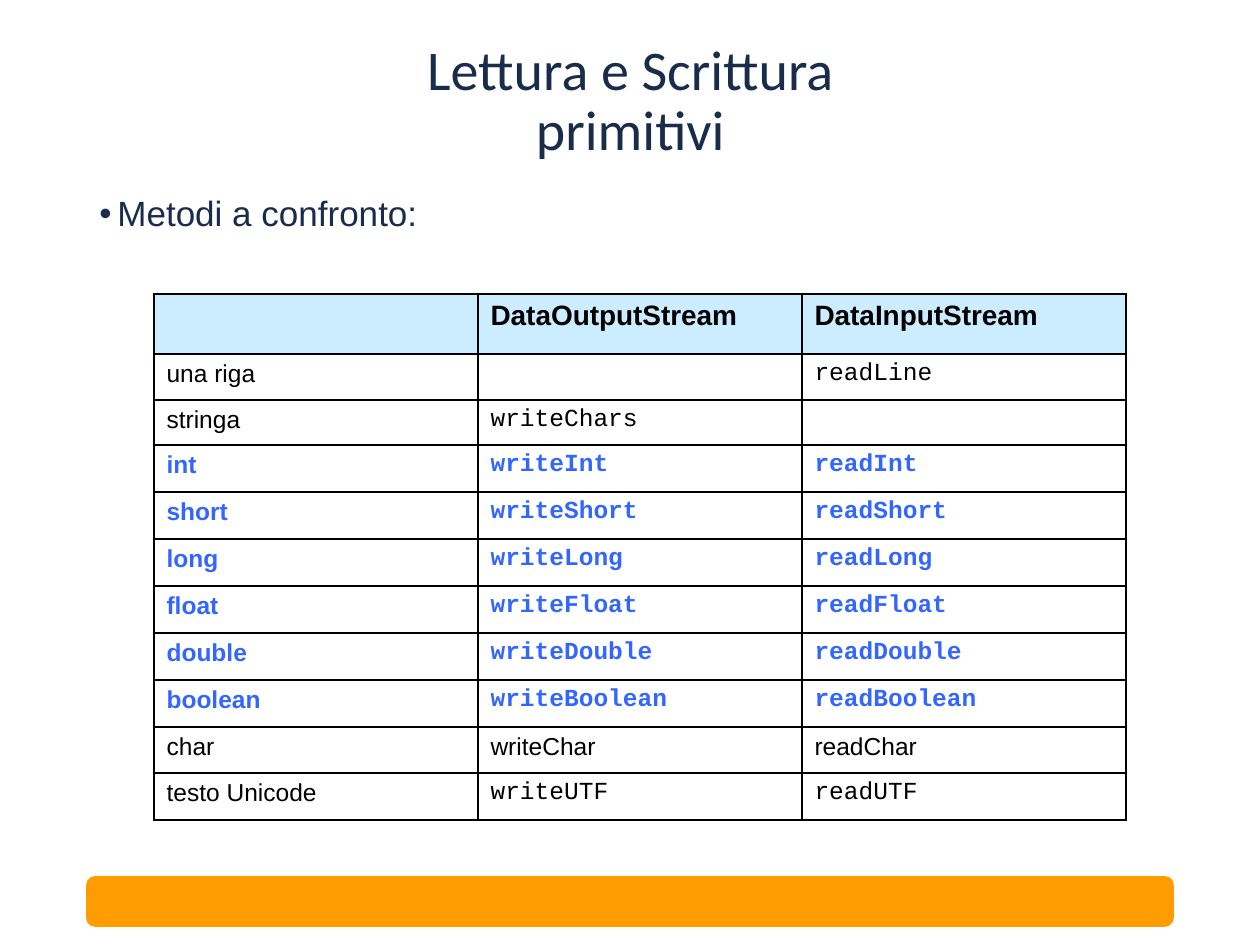
from dataclasses import dataclass

from lxml import etree
from pptx import Presentation
from pptx.dml.color import RGBColor
from pptx.enum.shapes import MSO_SHAPE
from pptx.enum.text import MSO_ANCHOR, PP_ALIGN
from pptx.oxml.ns import qn
from pptx.util import Emu, Pt

ROUNDED = MSO_SHAPE.ROUNDED_RECTANGLE
MIDDLE, TOP = MSO_ANCHOR.MIDDLE, MSO_ANCHOR.TOP
CENTER, LEFT = PP_ALIGN.CENTER, PP_ALIGN.LEFT
EMU_PER_PX = 914400 / 126


@dataclass(frozen=True)
class Theme:
    navy: str = "1A2C4B"
    black: str = "000000"
    blue: str = "3366FF"
    header: str = "CCECFF"
    orange: str = "FF9C00"
    heading_font: str = "Calibri"
    body_font: str = "Arial"
    code_font: str = "Courier New"
    title_size: int = 32
    body_size: int = 20
    header_size: int = 16
    cell_size: int = 14
    line_width: int = 1


@dataclass(frozen=True)
class Box:
    left: int
    top: int
    width: int
    height: int

    def emu(self) -> tuple:
        return tuple(px(v) for v in (self.left, self.top, self.width, self.height))


@dataclass(frozen=True)
class Method:
    kind: str
    writer: str
    reader: str
    height: int = 47
    primary: bool = False
    code: bool = True


THEME = Theme()
HEADINGS = ("", "DataOutputStream", "DataInputStream")
HEADER_HEIGHT = 60
COLUMN_WIDTH = 324
METHODS = (
    Method("una riga", "", "readLine", height=46),
    Method("stringa", "writeChars", "", height=45),
    Method("int", "writeInt", "readInt", primary=True),
    Method("short", "writeShort", "readShort", primary=True),
    Method("long", "writeLong", "readLong", primary=True),
    Method("float", "writeFloat", "readFloat", primary=True),
    Method("double", "writeDouble", "readDouble", primary=True),
    Method("boolean", "writeBoolean", "readBoolean", primary=True),
    Method("char", "writeChar", "readChar", height=46, code=False),
    Method("testo Unicode", "writeUTF", "readUTF"),
)


def px(value: int) -> Emu:
    return Emu(round(value * EMU_PER_PX))


def color(value: str) -> RGBColor:
    return RGBColor.from_string(value)


def write(frame, text: str, *, font: str, size: int, ink: str, bold: bool = False,
          align=LEFT, spacing: float = 1.0, before: float = 0):
    paragraph = frame.paragraphs[0]
    paragraph.alignment = align
    paragraph.line_spacing = spacing
    paragraph.space_before = Pt(before)
    if text:
        run = paragraph.add_run()
        run.text = text
        run.font.name = font
        run.font.size = Pt(size)
        run.font.bold = bold
        run.font.color.rgb = color(ink)
    else:
        # Keeps an empty cell from growing its row
        etree.SubElement(paragraph._p, qn("a:endParaRPr"), sz=str(size * 100))
    return paragraph


def add_frame(slide, box: Box, anchor):
    frame = slide.shapes.add_textbox(*box.emu()).text_frame
    frame.word_wrap = True
    frame.vertical_anchor = anchor
    return frame


def add_bullet(paragraph, indent: int) -> None:
    properties = paragraph._p.get_or_add_pPr()
    properties.set("marL", str(px(indent)))
    properties.set("indent", str(-px(indent)))
    etree.SubElement(properties, qn("a:buFont"), typeface=THEME.body_font)
    etree.SubElement(properties, qn("a:buChar"), char="•")


def add_borders(cell) -> None:
    properties = cell._tc.get_or_add_tcPr()
    for position, side in enumerate(("lnL", "lnR", "lnT", "lnB")):
        line = etree.Element(qn(f"a:{side}"), w=str(Pt(THEME.line_width)))
        fill = etree.SubElement(line, qn("a:solidFill"))
        etree.SubElement(fill, qn("a:srgbClr"), val=THEME.black)
        properties.insert(position, line)


def fill_cell(cell, text: str, *, fill: str = "", **text_format) -> None:
    if fill:
        cell.fill.solid()
        cell.fill.fore_color.rgb = color(fill)
    else:
        cell.fill.background()
    add_borders(cell)
    write(cell.text_frame, text, **text_format)


def add_comparison(slide, left: int, top: int) -> None:
    heights = [HEADER_HEIGHT] + [method.height for method in METHODS]
    box = Box(left, top, COLUMN_WIDTH * len(HEADINGS), sum(heights))
    table = slide.shapes.add_table(len(heights), len(HEADINGS), *box.emu()).table
    for column in table.columns:
        column.width = px(COLUMN_WIDTH)
    for row, height in zip(table.rows, heights):
        row.height = px(height)

    for index, heading in enumerate(HEADINGS):
        fill_cell(table.cell(0, index), heading, fill=THEME.header, bold=True,
                  font=THEME.body_font, size=THEME.header_size, ink=THEME.black)
    for row_index, method in enumerate(METHODS, start=1):
        for index, text in enumerate((method.kind, method.writer, method.reader)):
            is_code = method.code and index > 0
            fill_cell(table.cell(row_index, index), text, bold=method.primary,
                      font=THEME.code_font if is_code else THEME.body_font,
                      size=THEME.cell_size,
                      ink=THEME.blue if method.primary else THEME.black)


def add_footer_bar(slide, box: Box) -> None:
    bar = slide.shapes.add_shape(ROUNDED, *box.emu())
    bar.shadow.inherit = False
    bar.fill.solid()
    bar.fill.fore_color.rgb = color(THEME.orange)
    bar.line.color.rgb = color(THEME.orange)
    bar.line.width = Pt(THEME.line_width)


def main() -> None:
    deck = Presentation()
    deck.slide_width, deck.slide_height = px(1260), px(945)
    slide = deck.slides.add_slide(deck.slide_layouts[6])

    # Footer bar
    add_footer_bar(slide, Box(87, 877, 1086, 49))

    # Title
    title = add_frame(slide, Box(386, 15, 489, 175), MIDDLE)
    write(title, "Lettura e Scrittura primitivi", font=THEME.heading_font,
          size=THEME.title_size, ink=THEME.navy, align=CENTER, spacing=0.9)

    # Introductory bullet
    intro = add_frame(slide, Box(87, 190, 1086, 660), TOP)
    intro_line = write(intro, "Metodi a confronto:", font=THEME.body_font,
                       size=THEME.body_size, ink=THEME.navy, spacing=0.9, before=5.5)
    add_bullet(intro_line, 18)

    # Comparison of stream methods
    add_comparison(slide, 154, 294)

    deck.save("out.pptx")


if __name__ == "__main__":
    main()
